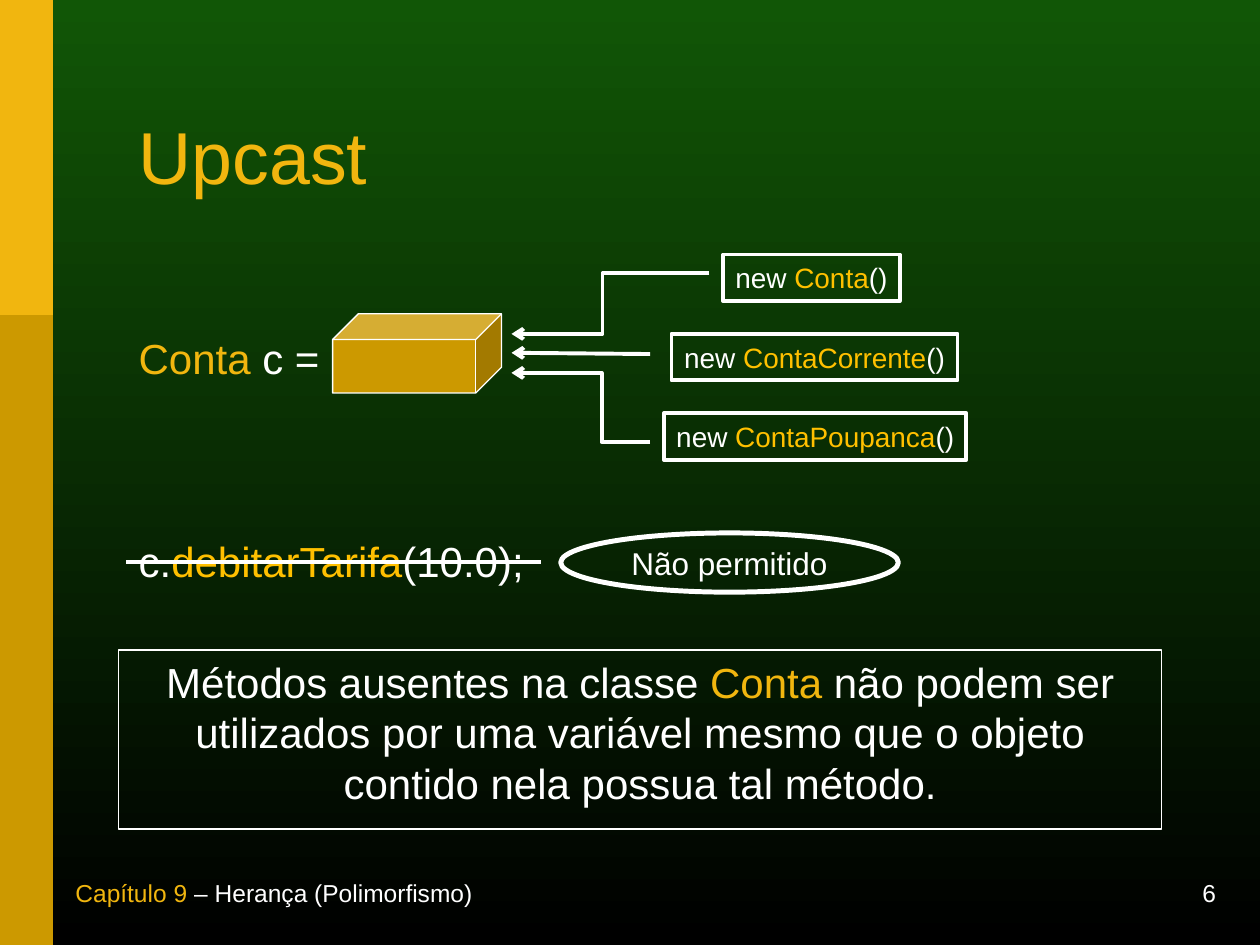
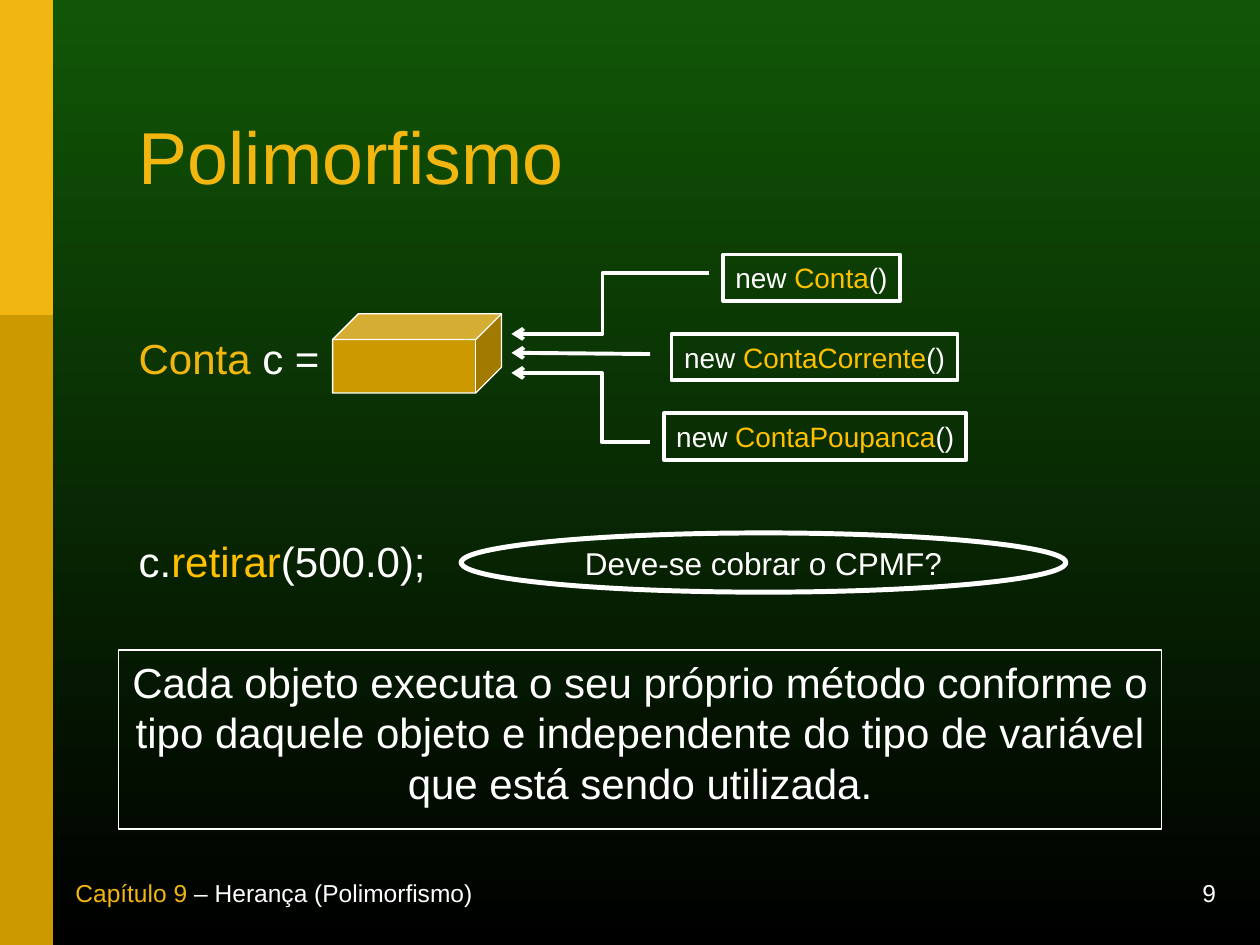
from lxml import etree
from pptx import Presentation
from pptx import util as u
from pptx.dml.color import RGBColor
from pptx.enum import shapes, text
from pptx.oxml import ns

COLORS = {"gold": "F1B60F", "ochre": "CC9900", "amber": "FFC000",
          "white": "FFFFFF", "green": "115606", "black": "000000"}
FONT = "Arial"
MARGINS = (0.1, 0.05)


def color(name):
    """Return the named palette colour."""
    return RGBColor.from_string(COLORS[name])


def add_element(parent, tag, **attributes):
    """Append a DrawingML element to a parent element."""
    return etree.SubElement(parent, ns.qn(tag), attributes)


class SlideBuilder:
    """Draws the shared style and each kind of element on the current slide."""

    def __init__(self, deck):
        """Keep the deck to which slides are added."""
        self.deck = deck
        self.slide = None

    def start(self, title, number):
        """Add a slide with its background, band, footer and title."""
        self.slide = self.deck.slides.add_slide(self.deck.slide_layouts[1])
        fill = self.slide.background.fill
        fill.gradient()
        fill.gradient_angle = 270
        for stop, position, name in zip(fill.gradient_stops, (0, 1), ("green", "black")):
            stop.position = position
            stop.color.rgb = color(name)
        self.shape("RECTANGLE", 0, 0, 0.42, 7.5, fill="ochre")
        self.shape("RECTANGLE", 0, 0, 0.42, 2.5, fill="gold")
        self.footer(7.25, 2.5, [(str(number), "white")], "RIGHT")
        self.footer(0.5, 4.42, [("Capítulo 9", "gold"),
                                (" – Herança (Polimorfismo)", "white")], "LEFT")
        para = self.placeholder(self.slide.shapes.title, (1, 0.64, 8.24, 1.29),
                                [[(title, "gold")]], 42, "MIDDLE")[0]
        para.line_spacing = 0.85

    def placeholder(self, box, place, lines, size, anchor="TOP"):
        """Move a template placeholder and fill it with left-aligned lines."""
        box.left, box.top, box.width, box.height = map(u.Inches, place)
        return self.fill_text(box, lines, size, "LEFT", anchor)

    def fill_text(self, box, lines, size, align="CENTER", anchor="TOP", wrap=True,
                  margins=MARGINS):
        """Add lines of coloured runs and return their paragraphs."""
        frame = box.text_frame
        frame.word_wrap = wrap
        frame.auto_size = text.MSO_AUTO_SIZE.NONE
        frame.vertical_anchor = text.MSO_ANCHOR[anchor]
        frame.margin_left = frame.margin_right = u.Inches(margins[0])
        frame.margin_top = frame.margin_bottom = u.Inches(margins[1])
        for index, runs in enumerate(lines):
            para = frame.add_paragraph() if index else frame.paragraphs[0]
            para.alignment = text.PP_ALIGN[align]
            para.space_before = u.Pt(0)
            for words, name in runs:
                span = para.add_run()
                span.text = words
                span.font.name = FONT
                span.font.size = u.Pt(size)
                span.font.color.rgb = color(name)
        return frame.paragraphs

    def footer(self, left, width, runs, align):
        """Add a one-line text at the foot of the slide."""
        box = self.slide.shapes.add_textbox(*map(u.Inches, (left, 7, width, 0.25)))
        self.fill_text(box, [runs], 14, align, "BOTTOM", wrap=False)

    def shape(self, kind, left, top, width, height, fill=None, line=None):
        """Add a preset shape with an optional fill and white outline."""
        box = self.slide.shapes.add_shape(
            shapes.MSO_SHAPE[kind], *map(u.Inches, (left, top, width, height)))
        box.shadow.inherit = False
        if fill:
            box.fill.solid()
            box.fill.fore_color.rgb = color(fill)
        else:
            box.fill.background()
        if line:
            box.line.width = u.Pt(line)
            box.line.color.rgb = color("white")
        else:
            box.line.fill.background()
        return box

    def line(self, start, end, bend=None, arrow=True):
        """Add a straight line, or one that bends at a share of its width."""
        kind = shapes.MSO_CONNECTOR.ELBOW if bend else shapes.MSO_CONNECTOR.STRAIGHT
        link = self.slide.shapes.add_connector(kind, *map(u.Inches, (*start, *end)))
        link.line.width = u.Pt(2.25)
        link.line.color.rgb = color("white")
        properties = link._element.spPr
        if arrow:
            add_element(properties.find(ns.qn("a:ln")), "a:tailEnd", type="arrow")
        if bend:
            guides = properties.find(ns.qn("a:prstGeom")).get_or_add_avLst()
            add_element(guides, "a:gd", name="adj1", fmla=f"val {round(bend * 100000)}")
        add_element(properties, "a:effectLst")

    def code(self, call):
        """Fill the body with the declaration and the method call."""
        declaration = [("Conta", "gold"), (" c =", "white")]
        paras = self.placeholder(self.slide.placeholders[1], (1, 2.59, 8.3, 2.27),
                                 [declaration, call], 24)
        for para in paras:
            properties = para._p.get_or_add_pPr()
            properties.set("marL", "0")
            properties.set("indent", "0")
            add_element(properties, "a:buNone")
        paras[1].space_before = u.Pt(87)

    def assignments(self):
        """Draw the variable and the three objects it may hold."""
        cube = self.shape("CUBE", 2.64, 2.49, 1.34, 0.63, "ochre", 0.75)
        cube.adjustments[0] = 0.325
        objects = [("Conta", 5.74, 1.4), ("ContaCorrente", 5.33, 2.27),
                   ("ContaPoupanca", 5.27, 2.4)]
        for row, (name, left, width) in enumerate(objects):
            box = self.shape("RECTANGLE", left, 2.02 + 0.63 * row, width, 0.37, line=2.25)
            runs = [("new ", "white"), (name, "amber"), ("()", "white")]
            self.fill_text(box, [runs], 16, wrap=False)
        self.line((5.16, 3.51), (4.06, 2.96), bend=0.35)
        self.line((5.63, 2.17), (4.06, 2.65), bend=0.54)
        self.line((5.16, 2.81), (4.06, 2.8))

    def message(self, runs):
        """Add the framed conclusion."""
        box = self.shape("RECTANGLE", 0.94, 5.16, 8.28, 1.42, line=0.75)
        self.fill_text(box, [runs], 24)

    def remark(self, left, width, words):
        """Add the oval remark beside the method call."""
        oval = self.shape("OVAL", left, 4.23, width, 0.47, line=2.83)
        self.fill_text(oval, [[(words, "white")]], 18, anchor="MIDDLE",
                       margins=(0.12, 0.07))


def main():
    """Build and save the two slides."""
    deck = Presentation()
    deck.slide_width, deck.slide_height = u.Inches(10), u.Inches(7.5)
    page = SlideBuilder(deck)

    page.start("Upcast", 6)
    page.code([("c.", "white"), ("debitarTarifa", "amber"), ("(10.0);", "white")])
    page.assignments()
    page.message([("Métodos ausentes na classe ", "white"), ("Conta", "gold"),
                  (" não podem ser utilizados por uma variável mesmo que o objeto "
                   "contido nela possua tal método.", "white")])
    page.line((1, 4.46), (4.29, 4.46), arrow=False)
    page.remark(4.45, 2.68, "Não permitido")

    page.start("Polimorfismo", 9)
    page.code([("c.", "white"), ("retirar", "amber"), ("(500.0);", "white")])
    page.assignments()
    page.message([("Cada objeto executa o seu próprio método conforme o tipo daquele "
                   "objeto e independente do tipo de variável que está sendo utilizada.",
                   "white")])
    page.remark(3.66, 4.8, "Deve-se cobrar o CPMF?")

    deck.save("out.pptx")


if __name__ == "__main__":
    main()
